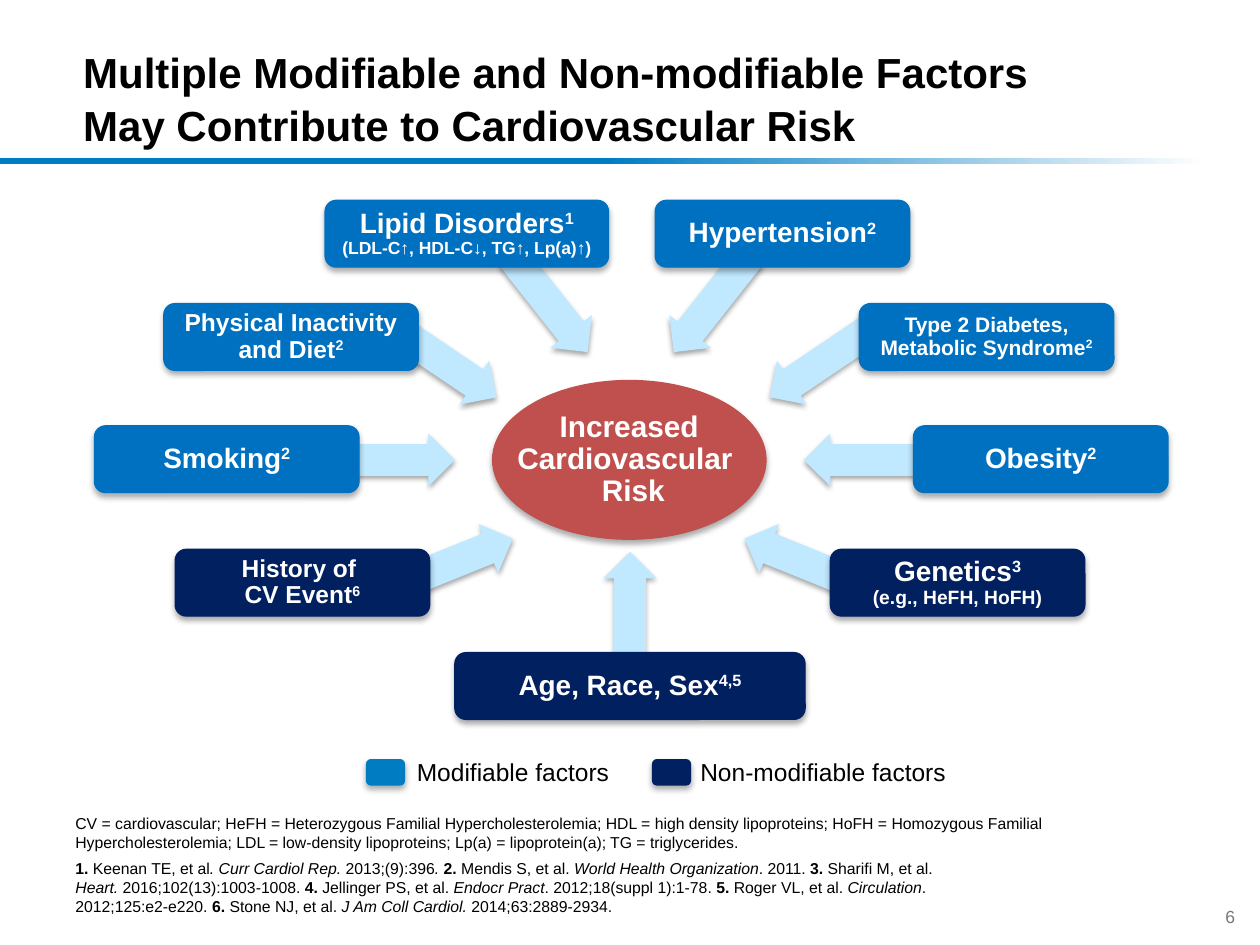
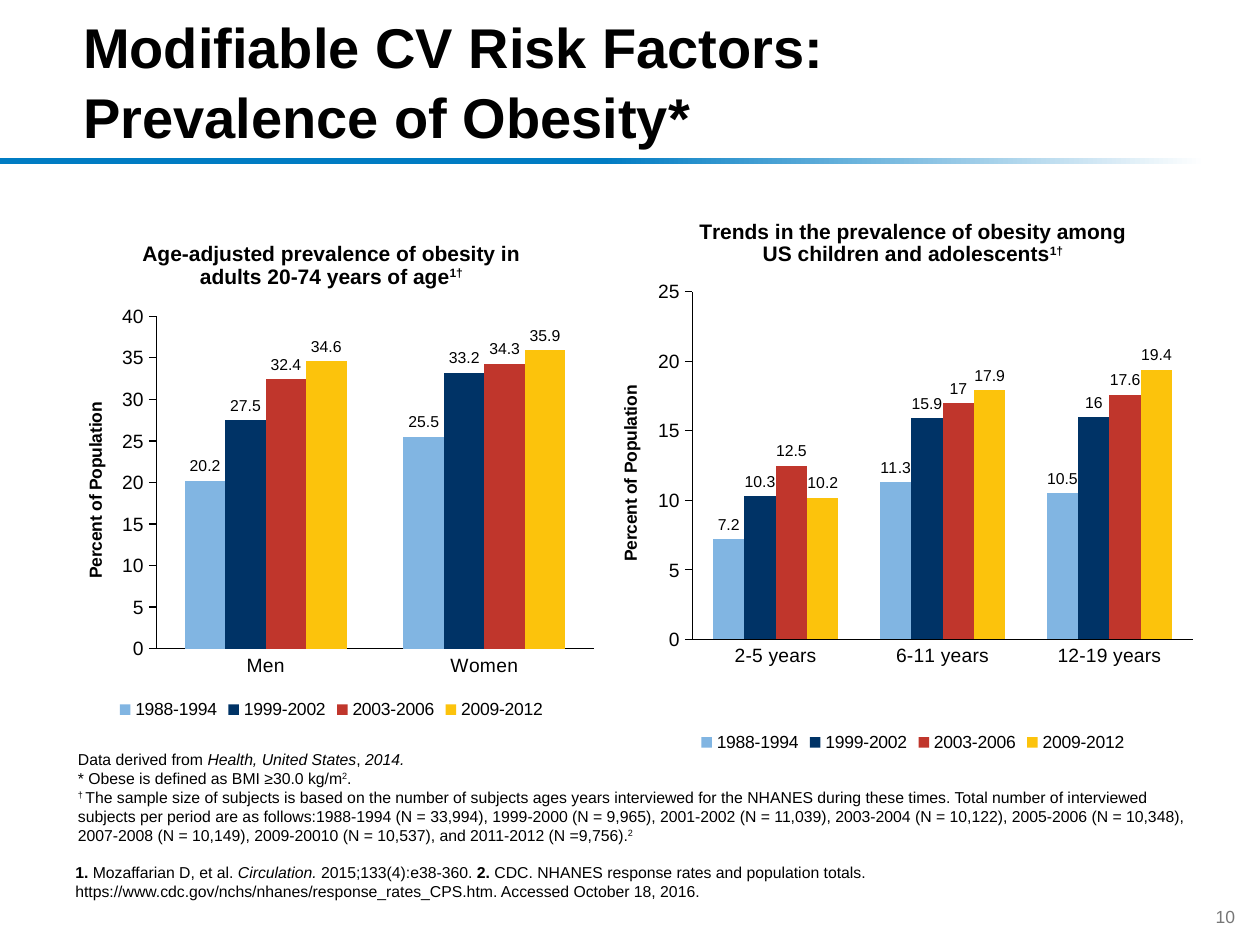
from dataclasses import dataclass

from lxml import etree
from pptx import Presentation
from pptx.chart.data import CategoryChartData
from pptx.dml.color import RGBColor
from pptx.enum.chart import XL_CHART_TYPE, XL_LABEL_POSITION, XL_LEGEND_POSITION, XL_TICK_MARK
from pptx.enum.shapes import MSO_SHAPE
from pptx.enum.text import MSO_ANCHOR, MSO_AUTO_SIZE, PP_ALIGN
from pptx.oxml import parse_xml
from pptx.oxml.ns import nsdecls, qn
from pptx.util import Inches, Pt

LEFT, CENTER, RIGHT = PP_ALIGN.LEFT, PP_ALIGN.CENTER, PP_ALIGN.RIGHT
TOP, MIDDLE, BOTTOM = MSO_ANCHOR.TOP, MSO_ANCHOR.MIDDLE, MSO_ANCHOR.BOTTOM
RECTANGLE, ROUNDED = MSO_SHAPE.RECTANGLE, MSO_SHAPE.ROUNDED_RECTANGLE
OVAL, ARROW = MSO_SHAPE.OVAL, MSO_SHAPE.RIGHT_ARROW
NO_AUTOFIT = MSO_AUTO_SIZE.NONE
COLUMNS = XL_CHART_TYPE.COLUMN_CLUSTERED
TICK_NONE, TICK_OUTSIDE = XL_TICK_MARK.NONE, XL_TICK_MARK.OUTSIDE
LEGEND_BOTTOM = XL_LEGEND_POSITION.BOTTOM
LABEL_OUTSIDE = XL_LABEL_POSITION.OUTSIDE_END
TITLE_ONLY = 5
SHAPE_SHADOW = (32, 3.5, 2.2)
ARROW_SHADOW = (35, 3.1, 1.8)


@dataclass(frozen=True)
class Theme:
    font: str = "Arial"
    black: str = "000000"
    white: str = "FFFFFF"
    gray: str = "777777"
    band: str = "007CC3"
    modifiable: str = "0070C0"
    modifiable_key: str = "007CC2"
    fixed: str = "002060"
    risk: str = "C0504D"
    arrow: str = "C0E8FF"
    series: tuple = ("81B5E2", "003366", "C0362C", "FCC30C")
    title: int = 32
    title_small: int = 24
    risk_size: int = 17
    factor: int = 16
    body: int = 14
    chart_title: int = 12
    axis: int = 11
    small: int = 10
    note: int = 9


THEME = Theme()


def rgb(color):
    return RGBColor.from_string(color)


def set_font(font, size, color=THEME.black, bold=False, italic=False):
    font.name, font.size = THEME.font, Pt(size)
    font.color.rgb = rgb(color)
    font.bold, font.italic = bold, italic


def write(text_frame, text, size, detail_size=None, color=THEME.black, bold=False,
          align=LEFT, line_spacing=None):
    """Marks: | bold, ~ italic, ^ superscript, vertical tab line break."""
    for index, line in enumerate(text.split("\n")):
        paragraph = text_frame.add_paragraph() if index else text_frame.paragraphs[0]
        paragraph.alignment = align
        if line_spacing:
            paragraph.line_spacing = line_spacing
        active = {"|": bold, "~": False, "^": False}
        buffer = ""
        for character in line + "\0":
            if character not in "|~^\v\0":
                buffer += character
                continue
            if buffer:
                run = paragraph.add_run()
                run.text, buffer = buffer, ""
                set_font(run.font, detail_size if index and detail_size else size,
                         color, active["|"], active["~"])
                if active["^"]:
                    run._r.get_or_add_rPr().set("baseline", "30000")
            if character == "\v":
                paragraph.add_line_break()
            elif character in active:
                active[character] = not active[character]


class Deck:
    def __init__(self):
        self.presentation = Presentation()
        self.presentation.slide_width = Inches(10)
        self.presentation.slide_height = Inches(7.5)
        self.slide = None

    def add_slide(self, title, size, number):
        layout = self.presentation.slide_layouts[TITLE_ONLY]
        self.slide = self.presentation.slides.add_slide(layout)
        placeholder = self.slide.shapes.title
        placeholder.left, placeholder.top = Inches(0.56), Inches(0.04)
        placeholder.width, placeholder.height = Inches(8.88), Inches(1.2)
        frame = placeholder.text_frame
        frame.auto_size, frame.vertical_anchor = NO_AUTOFIT, BOTTOM
        write(frame, title, size, bold=True, line_spacing=1.05)
        self.add_band()
        self.add_text(number, 7.82, 7.01, 2.08, 0.4, THEME.small,
                      anchor=BOTTOM, color=THEME.gray, align=RIGHT)

    def add_band(self):
        band = self.add_shape(RECTANGLE, 0, 1.25, 9.57, 0.05, THEME.band)
        band.line.fill.background()
        band.fill.gradient()
        band.fill.gradient_angle = 180
        stops = zip(band.fill.gradient_stops, (THEME.white, THEME.band), (0, 0.5))
        for stop, color, position in stops:
            stop.color.rgb, stop.position = rgb(color), position

    def add_text(self, text, left, top, width, height, size, anchor=TOP, wrap=True, **style):
        box = self.slide.shapes.add_textbox(
            Inches(left), Inches(top), Inches(width), Inches(height))
        box.text_frame.word_wrap = wrap
        box.text_frame.vertical_anchor = anchor
        write(box.text_frame, text, size, **style)

    def add_shape(self, kind, left, top, width, height, color, shadow=None):
        shape = self.slide.shapes.add_shape(
            kind, Inches(left), Inches(top), Inches(width), Inches(height))
        shape.fill.solid()
        shape.fill.fore_color.rgb = rgb(color)
        shape.line.color.rgb, shape.line.width = rgb(color), Pt(0.75)
        shape.shadow.inherit = False
        if shadow:
            opacity, blur, distance = shadow
            effects = shape._element.spPr.find(qn("a:effectLst"))
            effects.append(parse_xml(
                f'<a:outerShdw {nsdecls("a")} blurRad="{Pt(blur)}" dist="{Pt(distance)}" '
                f'dir="5400000" rotWithShape="0"><a:srgbClr val="{THEME.black}">'
                f'<a:alpha val="{opacity * 1000}"/></a:srgbClr></a:outerShdw>'))
        return shape

    def add_label_shape(self, kind, text, left, top, width, height, color, size,
                        detail_size=None, inset=0.04, wrap=True):
        shape = self.add_shape(kind, left, top, width, height, color, SHAPE_SHADOW)
        frame = shape.text_frame
        frame.margin_left = frame.margin_right = Inches(inset)
        frame.margin_top = frame.margin_bottom = Inches(inset)
        frame.word_wrap, frame.vertical_anchor = wrap, MIDDLE
        write(frame, text, size, detail_size, color=THEME.white, bold=True,
              align=CENTER, line_spacing=0.9)

    def add_arrow(self, left, top, length, angle):
        arrow = self.add_shape(ARROW, left, top, length, 0.42, THEME.arrow, ARROW_SHADOW)
        arrow.line.fill.background()
        arrow.adjustments[0], arrow.adjustments[1] = 0.6, 0.5
        arrow.rotation = angle

    def add_column_chart(self, title, left, top, width, height, categories, series,
                         maximum, gap, plot_box):
        data = CategoryChartData()
        data.categories = categories
        for name, values in series.items():
            data.add_series(name, values)
        chart = self.slide.shapes.add_chart(
            COLUMNS, Inches(left), Inches(top), Inches(width), Inches(height), data).chart
        set_font(chart.font, THEME.small)
        chart.has_title = True
        write(chart.chart_title.text_frame, title, THEME.chart_title, bold=True, align=CENTER)
        chart.has_legend = True
        chart.legend.position = LEGEND_BOTTOM
        chart.legend.include_in_layout = False
        set_font(chart.legend.font, THEME.small)
        for axis, tick in ((chart.category_axis, TICK_NONE), (chart.value_axis, TICK_OUTSIDE)):
            axis.major_tick_mark, axis.minor_tick_mark = tick, TICK_NONE
            axis.has_major_gridlines = False
            axis.format.line.color.rgb = rgb(THEME.black)
            axis.format.line.width = Pt(0.75)
            set_font(axis.tick_labels.font, THEME.axis)
        values_axis = chart.value_axis
        values_axis.minimum_scale, values_axis.maximum_scale = 0, maximum
        values_axis.major_unit = 5
        values_axis.has_title = True
        write(values_axis.axis_title.text_frame, "Percent of Population", THEME.small,
              bold=True, align=CENTER)
        plot = chart.plots[0]
        plot.gap_width, plot.overlap, plot.vary_by_categories = gap, 0, False
        for column, color in zip(plot.series, THEME.series):
            column.format.fill.solid()
            column.format.fill.fore_color.rgb = rgb(color)
            labels = column.data_labels
            labels.show_value, labels.position = True, LABEL_OUTSIDE
            set_font(labels.font, THEME.note)
        self.place_plot(chart, plot_box)

    def place_plot(self, chart, plot_box):
        area = chart.element.find(".//" + qn("c:plotArea"))
        for existing in area.findall(qn("c:layout")):
            area.remove(existing)
        layout = etree.Element(qn("c:layout"))
        manual = etree.SubElement(layout, qn("c:manualLayout"))
        settings = [("layoutTarget", "inner"), ("xMode", "edge"), ("yMode", "edge")]
        for name, value in settings + list(zip("xywh", plot_box)):
            etree.SubElement(manual, qn("c:" + name)).set("val", str(value))
        area.insert(0, layout)


def build_risk_factors(deck):
    deck.add_slide("Multiple Modifiable and Non-modifiable Factors\v"
                   "May Contribute to Cardiovascular Risk", THEME.title_small, "6")
    blue, navy = THEME.modifiable, THEME.fixed
    arrows = [
        (6.02, 2.65, 1.05, 146), (3.87, 2.2, 0.98, 51.8), (5.16, 2.2, 0.98, 128.2),
        (3.01, 4.27, 1.1, 338), (2.52, 3.44, 1.09, 0), (2.98, 2.65, 1.05, 34),
        (5.87, 4.27, 1.1, 202), (4.51, 4.66, 0.98, 270), (6.38, 3.44, 1.09, 180),
    ]
    for arrow in arrows:
        deck.add_arrow(*arrow)
    factors = [
        ("Lipid Disorders^1^\n(LDL-C↑, HDL-C↓, TG↑, Lp(a)↑)", 2.58, 1.59, 2.25, blue,
         THEME.factor, THEME.small),
        ("Hypertension^2^", 5.2, 1.59, 2.02, blue, THEME.factor),
        ("Physical Inactivity and Diet^2^", 1.3, 2.41, 2.02, blue, THEME.body),
        ("Type 2 Diabetes, Metabolic Syndrome^2^", 6.82, 2.41, 2.02, blue, THEME.chart_title),
        ("Smoking^2^", 0.75, 3.38, 2.1, blue, THEME.factor),
        ("Obesity^2^", 7.25, 3.38, 2.02, blue, THEME.factor),
        ("History of \vCV Event^6^", 1.39, 4.36, 2.02, navy, THEME.body),
        ("Genetics^3^\n(e.g., HeFH, HoFH)", 6.59, 4.36, 2.02, navy, THEME.factor, THEME.axis),
        ("Age, Race, Sex^4,5^", 3.61, 5.18, 2.78, navy, THEME.factor),
    ]
    for text, left, top, width, color, *sizes in factors:
        deck.add_label_shape(ROUNDED, text, left, top, width, 0.53, color, *sizes)
    deck.add_label_shape(OVAL, "Increased\vCardiovascular \v Risk", 3.91, 3.02, 2.17, 1.26,
                         THEME.risk, THEME.risk_size, inset=0, wrap=False)
    keys = [("Modifiable factors", 2.91, 3.21, 1.74, THEME.modifiable_key),
            ("Non-modifiable factors", 5.18, 5.46, 2.16, navy)]
    for text, key_left, text_left, width, color in keys:
        deck.add_shape(ROUNDED, key_left, 6.03, 0.3, 0.2, color, SHAPE_SHADOW)
        deck.add_text(text, text_left, 5.96, width, 0.34, THEME.body, wrap=False)
    deck.add_text(
        "CV = cardiovascular; HeFH = Heterozygous Familial Hypercholesterolemia; "
        "HDL = high density lipoproteins; HoFH = Homozygous Familial Hypercholesterolemia; "
        "LDL = low-density lipoproteins; Lp(a) = lipoprotein(a); TG = triglycerides.",
        0.5, 6.41, 7.93, 0.4, THEME.note)
    deck.add_text(
        "|1. |Keenan TE, et al~. Curr Cardiol Rep. ~2013;(9):396~. ~|2. |Mendis S, et al. "
        "~World Health Organization~. 2011.| 3. |Sharifi M, et al. ~Heart. ~"
        "2016;102(13):1003-1008.| 4. |Jellinger PS, et al. ~Endocr Pract~. "
        "2012;18(suppl 1):1-78. |5. |Roger VL, et al. ~Circulation~. 2012;125:e2-e220. "
        "|6. |Stone NJ, et al. ~J Am Coll Cardiol. ~2014;63:2889-2934.",
        0.5, 6.76, 7.12, 0.56, THEME.note, anchor=BOTTOM)


def build_obesity(deck):
    deck.add_slide("Modifiable CV Risk Factors:\vPrevalence of Obesity*", THEME.title, "10")
    periods = ("1988-1994", "1999-2002", "2003-2006", "2009-2012")
    adults = ((20.2, 25.5), (27.5, 33.2), (32.4, 34.3), (34.6, 35.9))
    children = ((7.2, 11.3, 10.5), (10.3, 15.9, 16), (12.5, 17, 17.6), (10.2, 17.9, 19.4))
    deck.add_column_chart(
        "Age-adjusted prevalence of obesity in\nadults 20-74 years of age^1†^",
        0.46, 1.75, 4.34, 4, ("Men", "Women"), dict(zip(periods, adults)),
        maximum=40, gap=141, plot_box=(0.18, 0.19, 0.8, 0.66))
    deck.add_column_chart(
        "Trends in the prevalence of obesity among\nUS children and adolescents^1†^",
        4.88, 1.56, 4.73, 4.45, ("2-5 years", "6-11 years", "12-19 years"),
        dict(zip(periods, children)), maximum=25, gap=132, plot_box=(0.13, 0.17, 0.84, 0.62))
    deck.add_text(
        "Data derived from ~Health, United States~, ~2014.~\n"
        "* Obese is defined as BMI ≥30.0 kg/m^2^.\n"
        "^† ^The sample size of subjects is based on the number of subjects ages years "
        "interviewed for the NHANES during these times. Total number of interviewed subjects "
        "per period are as follows:1988-1994 (N = 33,994), 1999-2000 (N = 9,965), "
        "2001-2002 (N = 11,039), 2003-2004 (N = 10,122), 2005-2006 (N = 10,348), "
        "2007-2008 (N = 10,149), 2009-20010 (N = 10,537), and 2011-2012 (N =9,756).^2^",
        0.52, 5.9, 9.09, 1.01, THEME.note)
    deck.add_text(
        "|1. |Mozaffarian D, et al. ~Circulation. ~2015;133(4):e38-360. |2.| CDC. NHANES "
        "response rates and population totals.\nhttps://www.cdc.gov/nchs/nhanes/"
        "response_rates_CPS.htm. Accessed October 18, 2016.",
        0.5, 6.8, 6.57, 0.56, THEME.note, wrap=False)


def main():
    deck = Deck()
    build_risk_factors(deck)
    build_obesity(deck)
    deck.presentation.save("out.pptx")


if __name__ == "__main__":
    main()
